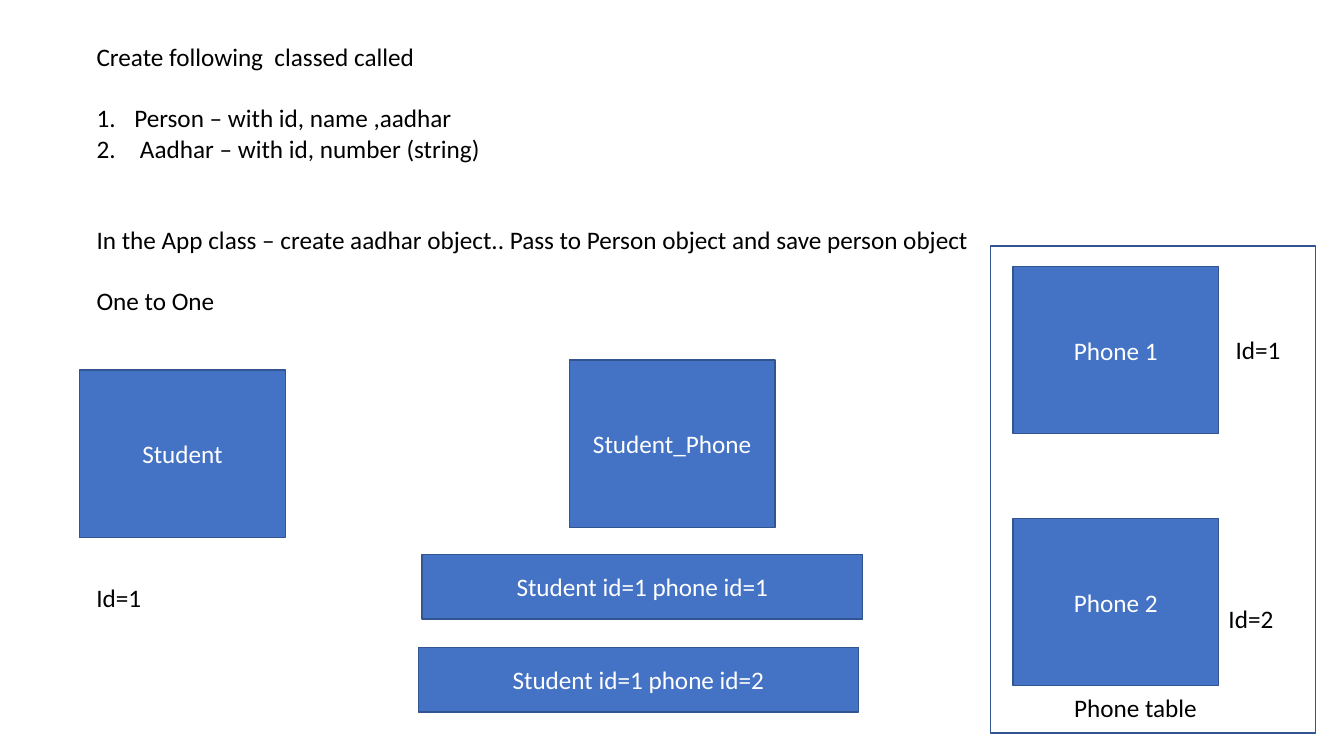
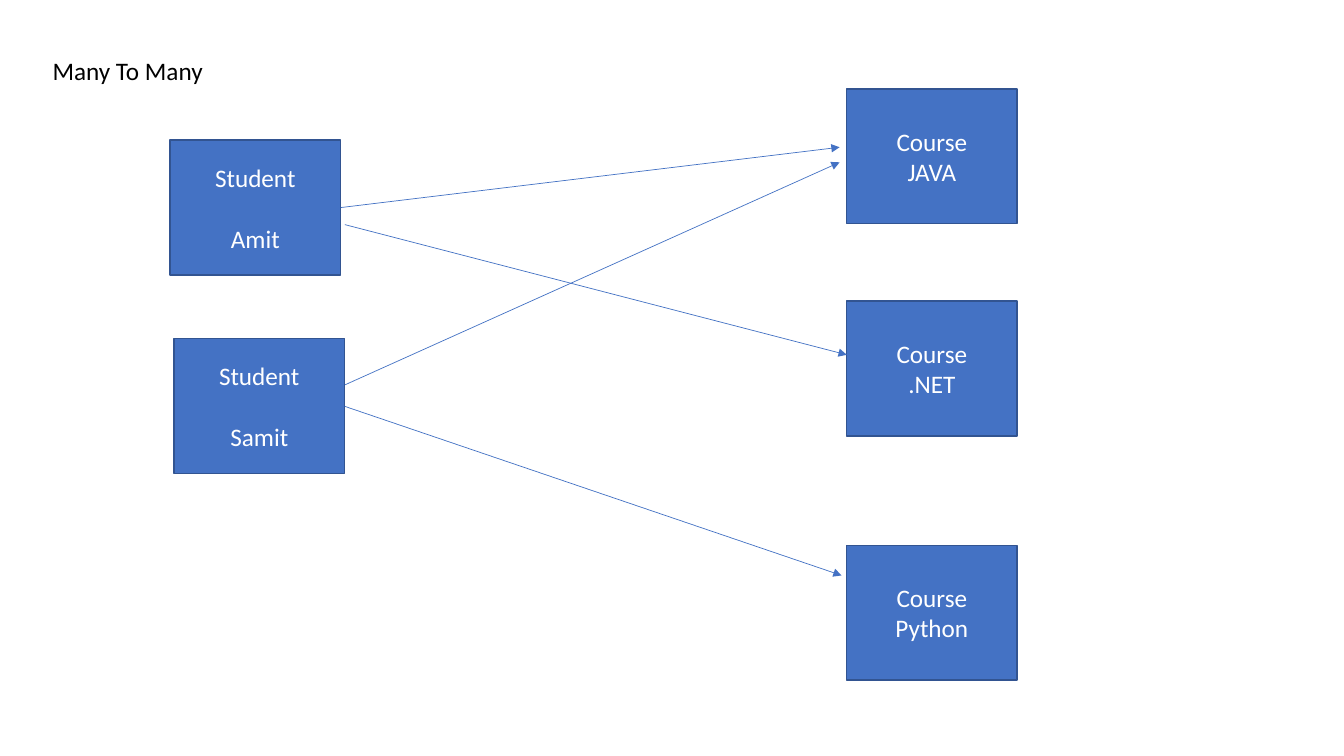
"""Build two slides on one-to-one and many-to-many class mappings."""
from dataclasses import dataclass

from pptx import Presentation
from pptx.dml.color import RGBColor
from pptx.enum.shapes import MSO_CONNECTOR, MSO_SHAPE
from pptx.enum.text import MSO_ANCHOR, MSO_AUTO_SIZE, PP_ALIGN
from pptx.oxml.ns import qn
from pptx.util import Cm, Pt
from lxml import etree


@dataclass(frozen=True)
class Theme:
    fill: RGBColor = RGBColor(0x44, 0x72, 0xC4)
    edge: RGBColor = RGBColor(0x32, 0x54, 0x91)
    dark: RGBColor = RGBColor(0, 0, 0)
    light: RGBColor = RGBColor(255, 255, 255)
    font: str = "Calibri"
    size: int = 18
    line_gap: int = 22
    edge_width: float = 1
    arrow_width: float = 0.5


THEME = Theme()
TITLE_AND_BODY, TITLE_ONLY = 1, 5

TASK_TITLE = "Create following  classed called"
TASK_LINES = [
    ("Person – with id, name ,aadhar", True, 0),
    (" Aadhar – with id, number (string)", True, 0),
    ("In the App class – create aadhar object.. Pass to Person object and save person object", False, 2),
    ("One to One", False, 1),
]
ENTITY_SIZE = (5.18, 4.22)
ENTITIES = [
    ("Student", 2.01, 9.32),
    ("Phone 1", 25.53, 6.71),
    ("Phone 2", 25.53, 13.06),
    ("Student_Phone", 14.35, 9.07),
]
JOIN_ROW_SIZE = (11.1, 1.63)
JOIN_ROWS = [
    ("Student id=1 phone id=1", 10.64, 13.97),
    ("Student id=1 phone id=2", 10.54, 16.31),
]
PHONE_FRAME = (24.97, 6.2, 8.18, 12.27)
LABELS = [
    ("Id=1", 2.18, 14.55, 4.98),
    ("Id=1", 30.89, 8.31, 2.2),
    ("Id=2", 30.71, 15.09, 2.2),
    ("Phone table", 26.82, 17.32, 4.98),
]

MANY_TITLE = "Many To Many"
CARD_SIZE = (4.29, 3.4)
COURSE_LEFT = 21.34
STUDENTS = [("Amit", 4.29, 3.53), ("Samit", 4.39, 8.53)]
COURSES = [("JAVA", 2.24), (".NET", 7.59), ("Python", 13.74)]
ENROLMENTS = [
    (8.59, 5.23, 21.16, 3.71),
    (8.69, 5.66, 21.34, 8.94),
    (8.69, 9.7, 21.16, 4.09),
    (8.69, 10.24, 21.21, 14.5),
]


def cm(*lengths):
    return [Cm(length) for length in lengths]


def write(shape, lines, color, align, anchor=MSO_ANCHOR.TOP, gaps=()):
    frame = shape.text_frame
    frame.word_wrap = True
    frame.auto_size = MSO_AUTO_SIZE.NONE
    frame.vertical_anchor = anchor
    frame.text = "\n".join(lines)
    for index, paragraph in enumerate(frame.paragraphs):
        paragraph.alignment = align
        blank_lines = gaps[index] if gaps else 0
        paragraph.space_before = Pt(THEME.line_gap * blank_lines)
        font = paragraph.runs[0].font
        font.name, font.size = THEME.font, Pt(THEME.size)
        font.color.rgb = color
    return frame.paragraphs


def place(shape, left, top, width, height):
    shape.left, shape.top, shape.width, shape.height = cm(left, top, width, height)


def add_title(slide, text, left, top, width):
    title = slide.shapes.title
    place(title, left, top, width, 1.02)
    write(title, [text], THEME.dark, PP_ALIGN.LEFT)


def add_task_list(slide):
    body = slide.placeholders[1]
    place(body, 2.18, 2.46, 28.19, 5.64)
    lines, numbered, gaps = zip(*TASK_LINES)
    paragraphs = write(body, lines, THEME.dark, PP_ALIGN.LEFT, gaps=gaps)
    for paragraph, is_numbered in zip(paragraphs, numbered):
        props = paragraph._p.get_or_add_pPr()
        indent = Cm(0.95) if is_numbered else 0
        props.set("marL", str(indent))
        props.set("indent", str(-indent))
        if is_numbered:
            etree.SubElement(props, qn("a:buFont"), typeface=THEME.font)
            etree.SubElement(props, qn("a:buAutoNum"), type="arabicPeriod")
        else:
            etree.SubElement(props, qn("a:buNone"))


def add_rect(slide, left, top, width, height):
    rect = slide.shapes.add_shape(MSO_SHAPE.RECTANGLE, *cm(left, top, width, height))
    rect.shadow.inherit = False
    rect.fill.background()
    rect.line.color.rgb = THEME.edge
    rect.line.width = Pt(THEME.edge_width)
    return rect


def add_box(slide, lines, left, top, size, gaps=()):
    box = add_rect(slide, left, top, *size)
    box.fill.solid()
    box.fill.fore_color.rgb = THEME.fill
    write(box, lines, THEME.light, PP_ALIGN.CENTER, MSO_ANCHOR.MIDDLE, gaps)


def add_label(slide, text, left, top, width):
    label = slide.shapes.add_textbox(*cm(left, top, width, 1.02))
    write(label, [text], THEME.dark, PP_ALIGN.LEFT)


def add_arrow(slide, *ends):
    arrow = slide.shapes.add_connector(MSO_CONNECTOR.STRAIGHT, *cm(*ends))
    arrow.line.color.rgb = THEME.fill
    arrow.line.width = Pt(THEME.arrow_width)
    etree.SubElement(arrow.line._get_or_add_ln(), qn("a:tailEnd"), type="triangle")
    etree.SubElement(arrow._element.spPr, qn("a:effectLst"))


def build_one_to_one(deck):
    slide = deck.slides.add_slide(deck.slide_layouts[TITLE_AND_BODY])
    add_title(slide, TASK_TITLE, 2.18, 0.91, 28.19)
    add_task_list(slide)
    add_rect(slide, *PHONE_FRAME)
    for boxes, size in ((ENTITIES, ENTITY_SIZE), (JOIN_ROWS, JOIN_ROW_SIZE)):
        for text, left, top in boxes:
            add_box(slide, [text], left, top, size)
    for label in LABELS:
        add_label(slide, *label)


def build_many_to_many(deck):
    slide = deck.slides.add_slide(deck.slide_layouts[TITLE_ONLY])
    add_title(slide, MANY_TITLE, 1.07, 1.27, 32.03)
    for name, left, top in STUDENTS:
        add_box(slide, ["Student", name], left, top, CARD_SIZE, gaps=(0, 1))
    for name, top in COURSES:
        add_box(slide, ["Course", name], COURSE_LEFT, top, CARD_SIZE)
    for ends in ENROLMENTS:
        add_arrow(slide, *ends)


def main():
    deck = Presentation()
    deck.slide_width, deck.slide_height = cm(33.87, 19.05)
    build_one_to_one(deck)
    build_many_to_many(deck)
    deck.save("out.pptx")


main()
